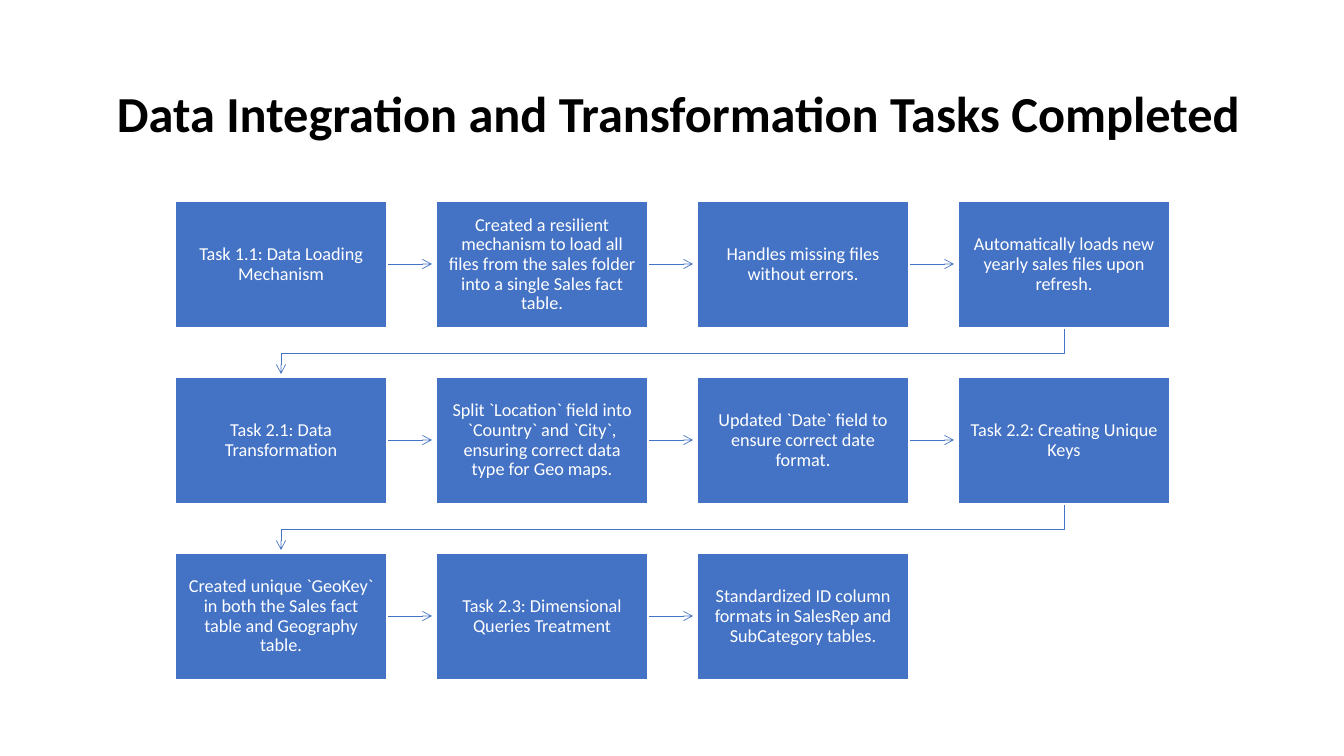
from lxml.etree import SubElement
from pptx import Presentation
from pptx.dml.color import RGBColor
from pptx.enum.shapes import MSO_CONNECTOR, MSO_SHAPE
from pptx.enum.text import MSO_ANCHOR, PP_ALIGN
from pptx.oxml.ns import qn
from pptx.util import Pt

PX = 12192000 / 1344
BLUE = "4472C4"
WHITE = "FFFFFF"
LEFT, TOP = 175, 201
WIDTH, HEIGHT = 212, 127
COLUMN_STEP, ROW_STEP = 261, 176
COLUMNS = 4

STEPS = [
    "Task 1.1: Data Loading Mechanism",
    "Created a resilient mechanism to load all files from the sales folder into a single Sales fact table.",
    "Handles missing files without errors.",
    "Automatically loads new yearly sales files upon refresh.",
    "Task 2.1: Data Transformation",
    "Split `Location` field into `Country` and `City`, ensuring correct data type for Geo maps.",
    "Updated `Date` field to ensure correct date format.",
    "Task 2.2: Creating Unique Keys",
    "Created unique `GeoKey` in both the Sales fact table and Geography table.",
    "Task 2.3: Dimensional Queries Treatment",
    "Standardized ID column formats in SalesRep and SubCategory tables.",
]


def px(*lengths):
    return [round(length * PX) for length in lengths]


def write_text(shape, text, size, color, bold=False, align=PP_ALIGN.LEFT, insets=(10, 5)):
    frame = shape.text_frame
    frame.word_wrap = True
    frame.vertical_anchor = MSO_ANCHOR.MIDDLE
    frame.margin_left, frame.margin_top = px(*insets)
    frame.margin_right, frame.margin_bottom = px(*insets)
    paragraph = frame.paragraphs[0]
    paragraph.alignment = align
    paragraph.line_spacing = 0.9
    run = paragraph.add_run()
    run.text = text
    run.font.name = "Calibri"
    run.font.size = Pt(size)
    run.font.bold = bold
    run.font.color.rgb = RGBColor.from_string(color)


presentation = Presentation()
presentation.slide_width, presentation.slide_height = px(1344, 756)
slide = presentation.slides.add_slide(presentation.slide_layouts[6])

title = slide.shapes.add_textbox(*px(107, 43, 1150, 146))
write_text(title, "Data Integration and Transformation Tasks Completed", size=36, color="000000", bold=True)

arrows = []
for index, step in enumerate(STEPS):
    row, column = divmod(index, COLUMNS)
    left = LEFT + column * COLUMN_STEP
    top = TOP + row * ROW_STEP
    right, bottom = left + WIDTH, top + HEIGHT
    middle = top + HEIGHT // 2

    if column == COLUMNS - 1:
        start, end = left + WIDTH // 2, LEFT + WIDTH // 2
        builder = slide.shapes.build_freeform(start, bottom, scale=PX)
        builder.add_line_segments([(start, bottom + 25), (end, bottom + 25), (end, bottom + 46)], close=False)
        arrow = builder.convert_to_shape()
        arrow.fill.background()
        arrows.append(arrow)
    elif index < len(STEPS) - 1:
        ends = px(right, middle, right + 45, middle)
        arrows.append(slide.shapes.add_connector(MSO_CONNECTOR.STRAIGHT, *ends))

    box = slide.shapes.add_shape(MSO_SHAPE.RECTANGLE, *px(left, top, WIDTH, HEIGHT))
    box.shadow.inherit = False
    box.fill.solid()
    box.fill.fore_color.rgb = RGBColor.from_string(BLUE)
    box.line.color.rgb = RGBColor.from_string(WHITE)
    box.line.width = Pt(1)
    write_text(box, step, size=13, color=WHITE, align=PP_ALIGN.CENTER, insets=(10, 11))

for arrow in arrows:
    arrow.line.color.rgb = RGBColor.from_string(BLUE)
    arrow.line.width = Pt(0.5)
    properties = arrow._element.spPr
    SubElement(properties.find(qn("a:ln")), qn("a:tailEnd"), type="arrow")
    SubElement(properties, qn("a:effectLst"))

presentation.save("out.pptx")
